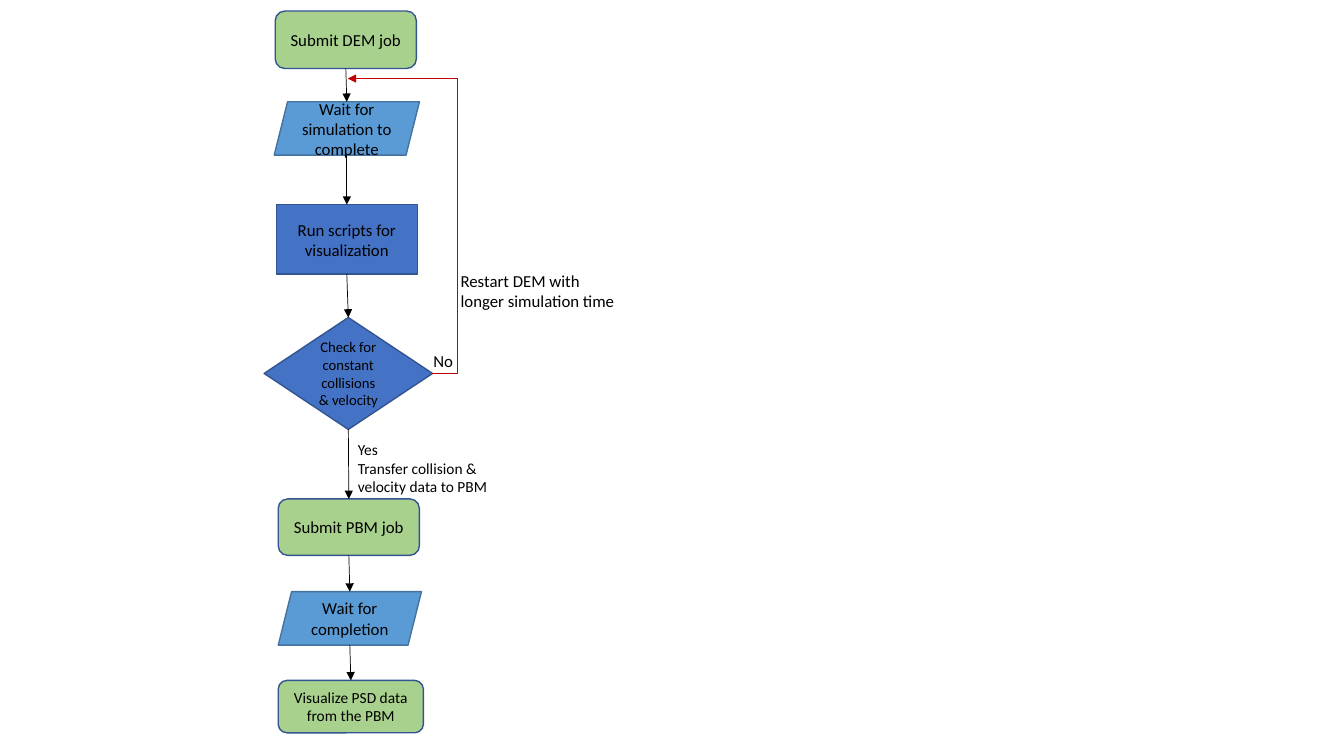
from pptx import Presentation
from pptx.dml.color import RGBColor
from pptx.enum.shapes import MSO_CONNECTOR as Link, MSO_SHAPE as Kind
from pptx.enum.text import MSO_ANCHOR as Anchor, PP_ALIGN as Align
from pptx.oxml.ns import qn
from pptx.util import Inches, Pt
from lxml import etree

# Content
FONT = "Calibri"
COLORS = dict(green="A9D18E", blue="4472C4", sky="5B9BD5", navy="325491",
              steel="43739E", red="C00000", black="000000")
LOOKS = {  # role: shape, fill, outline
    "job": (Kind.ROUNDED_RECTANGLE, "green", "navy"),
    "wait": (Kind.PARALLELOGRAM, "sky", "steel"),
    "run": (Kind.RECTANGLE, "blue", "navy"),
    "check": (Kind.DIAMOND, "blue", "navy"),
}
STEPS = [  # role, text, size, (left, top, width, height), in flow order
    ("job", "Submit DEM job", 12, (2.73, 0.11, 1.4, 0.57)),
    ("wait", "Wait for simulation to complete", 12, (2.72, 1.01, 1.44, 0.53)),
    ("run", "Run scripts for visualization", 12, (2.74, 2.03, 1.4, 0.69)),
    ("check", "Check for constant collisions & velocity", 10.5,
     (2.62, 3.15, 1.67, 1.11)),
    ("job", "Submit PBM job", 12, (2.76, 4.95, 1.4, 0.56)),
    ("wait", "Wait for completion", 12, (2.76, 5.87, 1.42, 0.53)),
    ("job", "Visualize PSD data from the PBM", 11, (2.76, 6.75, 1.44, 0.52)),
]
NOTES = [  # lines, size, box
    (["Restart DEM with longer simulation time"], 12, (4.47, 2.64, 1.77, 0.5)),
    (["Yes", "Transfer collision & velocity data to PBM"], 11,
     (3.45, 4.32, 1.85, 0.66)),
    (["No"], 12, (4.2, 3.43, 0.45, 0.3)),
]
BACK = (3.45, 0.78)  # where the restart loop rejoins the flow
BEND = 0.25          # how far the loop swings out to the right

deck = Presentation()
deck.slide_width, deck.slide_height = Inches(13.33), Inches(7.5)
slide = deck.slides.add_slide(deck.slide_layouts[6])
parts = slide.shapes


def color(name):
    return RGBColor.from_string(COLORS[name])


def write(shape, lines, size, align):
    frame = shape.text_frame
    frame.word_wrap = True
    for i, line in enumerate(lines):
        para = frame.add_paragraph() if i else frame.paragraphs[0]
        para.alignment = align
        run = para.add_run()
        run.text = line
        run.font.name, run.font.size = FONT, Pt(size)
        run.font.color.rgb = color("black")


def arrow(kind, start, end, tint, width):
    link = parts.add_connector(kind, *map(Inches, start + end))
    link.line.color.rgb = color(tint)
    link.line.width = Pt(width)
    etree.SubElement(link.line._get_or_add_ln(), qn("a:tailEnd"),
                     type="triangle")
    etree.SubElement(link._element.spPr, qn("a:effectLst"))
    return link


# Flow steps
for role, text, size, box in STEPS:
    kind, fill, edge = LOOKS[role]
    step = parts.add_shape(kind, *map(Inches, box))
    step.shadow.inherit = False
    step.fill.solid()
    step.fill.fore_color.rgb = color(fill)
    step.line.color.rgb = color(edge)
    step.line.width = Pt(1)
    step.text_frame.vertical_anchor = Anchor.MIDDLE
    write(step, [text], size, Align.CENTER)

# Arrows from each step's bottom centre to the next one's top centre
boxes = [step[3] for step in STEPS]
for (x, y, w, h), (nx, ny, nw, nh) in zip(boxes, boxes[1:]):
    arrow(Link.STRAIGHT, (x + w / 2, y + h), (nx + nw / 2, ny), "black", 0.5)

# Restart loop from the right tip of the check
x, y, w, h = next(step[3] for step in STEPS if step[0] == "check")
tip = (x + w, y + h / 2)
loop = arrow(Link.ELBOW, tip, BACK, "red", 1)
shift = -BEND / (tip[0] - BACK[0])
geom = loop._element.spPr.find(qn("a:prstGeom"))
guides = geom.find(qn("a:avLst"))
if guides is None:
    guides = etree.SubElement(geom, qn("a:avLst"))
etree.SubElement(guides, qn("a:gd"), name="adj1",
                 fmla=f"val {round(shift * 100000)}")

# Notes beside the arrows
for lines, size, box in NOTES:
    write(parts.add_textbox(*map(Inches, box)), lines, size, Align.LEFT)

deck.save("out.pptx")
